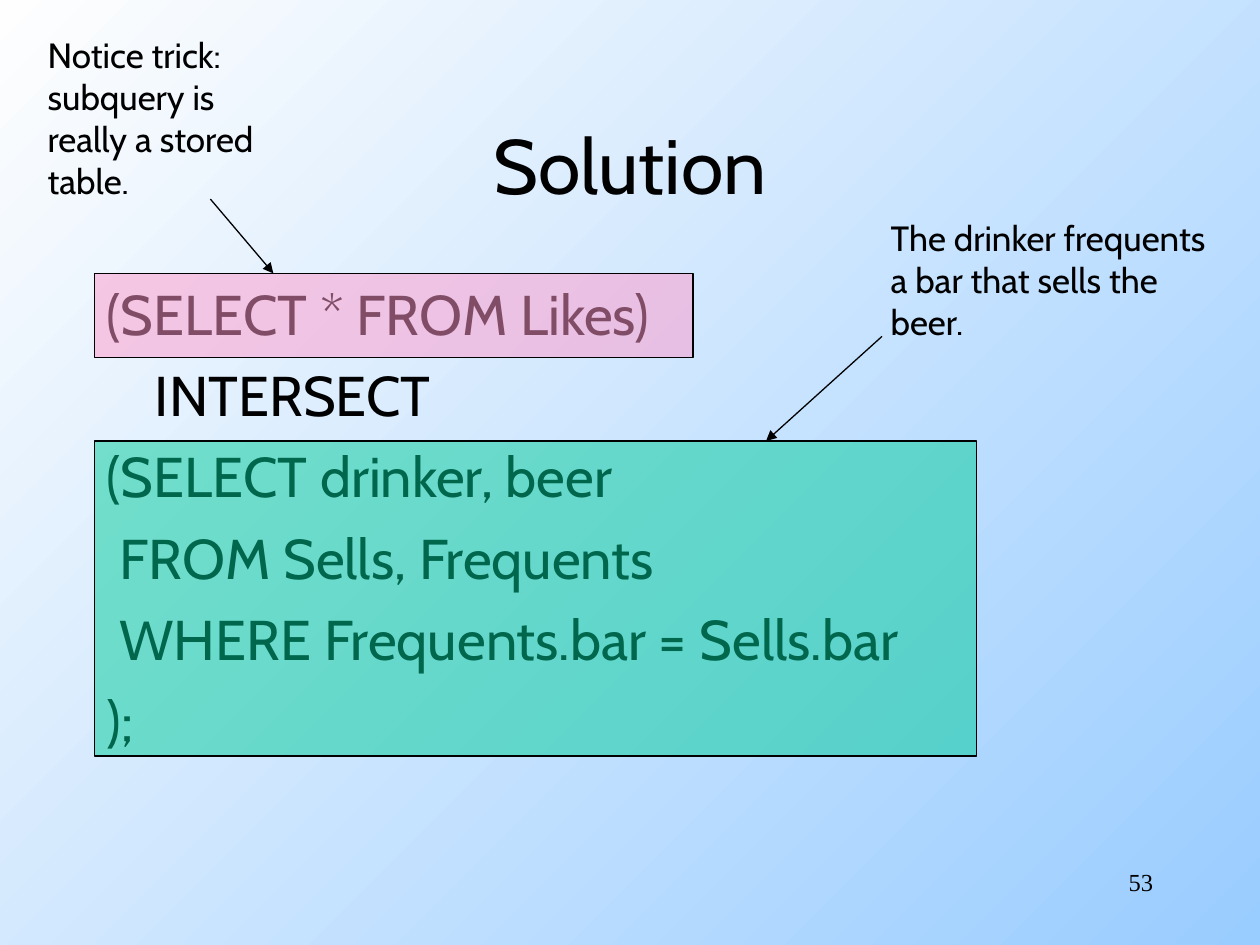
from dataclasses import dataclass

from lxml.etree import SubElement
from pptx import Presentation
from pptx.dml.color import RGBColor
from pptx.enum.shapes import MSO_CONNECTOR, MSO_SHAPE
from pptx.enum.text import MSO_ANCHOR, PP_ALIGN
from pptx.oxml.ns import qn
from pptx.util import Inches, Pt


@dataclass(frozen=True)
class Theme:
    text_font: str = "Cabin"
    number_font: str = "Times New Roman"
    title_size: int = 44
    code_size: int = 32
    note_size: int = 20
    number_size: int = 14
    ink: str = "000000"
    pink: str = "FF99CC"
    green: str = "00CC99"
    background_start: str = "99CCFF"
    background_end: str = "FEFEFE"
    line_width: float = 0.75


THEME = Theme()

TITLE = "Solution"
PAGE_NUMBER = "53"
CODE_LINES = [
    "(SELECT * FROM Likes)",
    "INTERSECT",
    "(SELECT drinker, beer",
    " FROM Sells, Frequents",
    " WHERE Frequents.bar = Sells.bar",
    ");",
]
INDENTED_LINE = 1
CODE_INDENT = 0.38

# Boxes are left, top, width, height; arrows are start and end points.
TITLE_BOX = (0.75, 0.67, 8.5, 1.25)
CODE_BOX = (0.75, 2.17, 8.5, 4.5)
NUMBER_BOX = (7.17, 6.83, 2.08, 0.5)
CALLOUTS = [
    {
        "highlight": (0.75, 3.5, 7, 2.5),
        "color": THEME.green,
        "note": ["The drinker frequents", "a bar that sells the", "beer."],
        "note_box": (6.97, 1.67, 3, 1.1),
        "arrow": (7, 2.67, 6.08, 3.5),
    },
    {
        "highlight": (0.75, 2.17, 4.75, 0.67),
        "color": THEME.pink,
        "note": ["Notice trick:", "subquery is", "really a stored", "table."],
        "note_box": (0.28, 0.22, 2.06, 1.44),
        "arrow": (1.67, 1.58, 2.17, 2.17),
    },
]


def inches(values):
    return [Inches(value) for value in values]


def color(value):
    return RGBColor.from_string(value)


def paint_background(slide):
    fill = slide.background.fill
    fill.gradient()
    fill.gradient_angle = 135
    ends = (THEME.background_start, THEME.background_end)
    for stop, value in zip(fill.gradient_stops, ends):
        stop.color.rgb = color(value)


def add_text(slide, box, lines, size, font=THEME.text_font,
             align=PP_ALIGN.LEFT, anchor=MSO_ANCHOR.TOP, gap=0):
    """Add one paragraph per line, with gap points between paragraphs."""
    text_frame = slide.shapes.add_textbox(*inches(box)).text_frame
    text_frame.word_wrap = True
    text_frame.vertical_anchor = anchor
    text_frame.text = "\n".join(lines)
    for index, paragraph in enumerate(text_frame.paragraphs):
        paragraph.alignment = align
        paragraph.space_before = Pt(gap if index else 0)
        for run in paragraph.runs:
            run.font.name = font
            run.font.size = Pt(size)
            run.font.color.rgb = color(THEME.ink)
    return text_frame


def style_line(line):
    line.color.rgb = color(THEME.ink)
    line.width = Pt(THEME.line_width)


def add_highlight(slide, box, fill_color):
    """Add a half-transparent rectangle over the code."""
    shape = slide.shapes.add_shape(MSO_SHAPE.RECTANGLE, *inches(box))
    shape.shadow.inherit = False
    shape.fill.solid()
    shape.fill.fore_color.rgb = color(fill_color)
    fill_element = shape.element.spPr.find(qn("a:solidFill"))
    SubElement(fill_element[0], qn("a:alpha"), val="50000")
    style_line(shape.line)


def add_arrow(slide, points):
    arrow = slide.shapes.add_connector(MSO_CONNECTOR.STRAIGHT, *inches(points))
    style_line(arrow.line)
    SubElement(arrow.line._get_or_add_ln(), qn("a:tailEnd"), type="triangle")
    SubElement(arrow.element.spPr, qn("a:effectLst"))


def main():
    presentation = Presentation()
    presentation.slide_width, presentation.slide_height = inches((10, 7.5))
    slide = presentation.slides.add_slide(presentation.slide_layouts[6])
    paint_background(slide)

    add_text(slide, TITLE_BOX, [TITLE], THEME.title_size,
             align=PP_ALIGN.CENTER, anchor=MSO_ANCHOR.MIDDLE)
    code = add_text(slide, CODE_BOX, CODE_LINES, THEME.code_size, gap=8)
    indented = code.paragraphs[INDENTED_LINE]
    indented._p.get_or_add_pPr().set("marL", str(Inches(CODE_INDENT)))

    for callout in CALLOUTS:
        add_highlight(slide, callout["highlight"], callout["color"])
        add_text(slide, callout["note_box"], callout["note"], THEME.note_size)
        add_arrow(slide, callout["arrow"])

    add_text(slide, NUMBER_BOX, [PAGE_NUMBER], THEME.number_size,
             font=THEME.number_font, align=PP_ALIGN.RIGHT)
    presentation.save("out.pptx")


if __name__ == "__main__":
    main()
